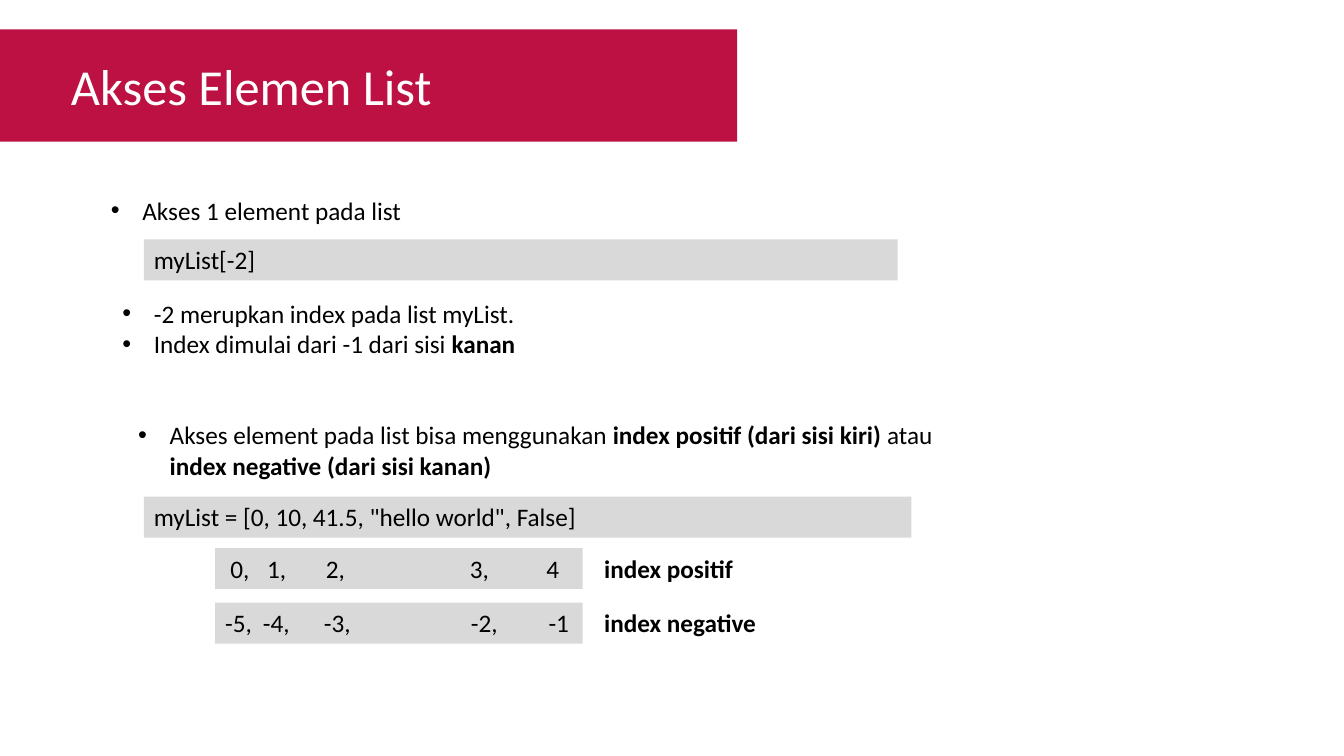
import dataclasses

import lxml.etree
import pptx
import pptx.dml.color
import pptx.enum.shapes
import pptx.enum.text
import pptx.oxml.ns
import pptx.util

EMU_PER_PX = 9525


@dataclasses.dataclass(frozen=True)
class Theme:
    font: str = "Calibri"
    banner: str = "BC1142"
    code: str = "D9D9D9"
    title_text: str = "FFFFFF"
    text: str = "000000"
    title_size: int = 36
    text_size: int = 18
    bullet_indent: int = 30


def px(value):
    return pptx.util.Emu(value * EMU_PER_PX)


def add_property(paragraph, tag, **attributes):
    """Append an element to the paragraph properties."""
    properties = paragraph._p.get_or_add_pPr()
    return lxml.etree.SubElement(properties, pptx.oxml.ns.qn(tag), attributes)


class SlideBuilder:
    def __init__(self, slide, theme):
        self.slide = slide
        self.theme = theme

    def place(self, shape, left, top, width, height):
        shape.left, shape.top = px(left), px(top)
        shape.width, shape.height = px(width), px(height)

    def prepare(self, frame, anchor=pptx.enum.text.MSO_ANCHOR.TOP, wrap=True):
        frame.auto_size = pptx.enum.text.MSO_AUTO_SIZE.NONE
        frame.word_wrap = wrap
        frame.vertical_anchor = anchor

    def format(self, paragraph, size=None, color=None, bold=False):
        paragraph.alignment = pptx.enum.text.PP_ALIGN.LEFT
        paragraph.space_before = pptx.util.Pt(0)
        for run in paragraph.runs:
            run.font.name = self.theme.font
            run.font.size = pptx.util.Pt(size or self.theme.text_size)
            run.font.bold = bold
            run.font.color.rgb = pptx.dml.color.RGBColor.from_string(color or self.theme.text)

    def rectangle(self, box, color):
        shape = self.slide.shapes.add_shape(
            pptx.enum.shapes.MSO_SHAPE.RECTANGLE, *map(px, box))
        shape.shadow.inherit = False
        shape.fill.solid()
        shape.fill.fore_color.rgb = pptx.dml.color.RGBColor.from_string(color)
        shape.line.fill.background()
        return shape

    def banner(self, box):
        """Draw the coloured band behind everything else."""
        band = self.rectangle(box, self.theme.banner)
        self.slide.shapes._spTree.insert(2, band._element)

    def title(self, box, text):
        heading = self.slide.shapes.title
        self.place(heading, *box)
        self.prepare(heading.text_frame, wrap=False)
        heading.text_frame.text = text
        self.format(heading.text_frame.paragraphs[0],
                    self.theme.title_size, self.theme.title_text)

    def bullets(self, idx, box, items):
        """Fill a body placeholder; text between ** marks is bold."""
        body = self.slide.placeholders[idx]
        self.place(body, *box)
        self.prepare(body.text_frame)
        indent = px(self.theme.bullet_indent)
        for number, item in enumerate(items):
            frame = body.text_frame
            paragraph = frame.add_paragraph() if number else frame.paragraphs[0]
            pieces = item.split("**")
            for piece in filter(None, pieces):
                paragraph.add_run().text = piece
            self.format(paragraph)
            for run in paragraph.runs:
                run.font.bold = run.text in pieces[1::2]
            properties = paragraph._p.get_or_add_pPr()
            properties.set("marL", str(indent))
            properties.set("indent", str(-indent))
            add_property(paragraph, "a:buFont", typeface="Arial")
            add_property(paragraph, "a:buChar", char="•")

    def code(self, box, text, stops=()):
        block = self.rectangle(box, self.theme.code)
        self.prepare(block.text_frame)
        block.text_frame.text = text
        paragraph = block.text_frame.paragraphs[0]
        self.format(paragraph)
        if stops:
            tabs = add_property(paragraph, "a:tabLst")
            for stop in stops:
                lxml.etree.SubElement(tabs, pptx.oxml.ns.qn("a:tab"),
                                      pos=str(px(stop)), algn="l")

    def label(self, box, text):
        caption = self.slide.shapes.add_textbox(*map(px, box))
        self.prepare(caption.text_frame, wrap=False)
        caption.text_frame.text = text
        self.format(caption.text_frame.paragraphs[0], bold=True)

    def remove_empty_placeholders(self):
        for placeholder in list(self.slide.placeholders):
            if not placeholder.text_frame.text:
                placeholder._element.getparent().remove(placeholder._element)


def main():
    deck = pptx.Presentation()
    deck.slide_width, deck.slide_height = px(1280), px(720)
    comparison_layout = deck.slide_layouts[4]
    builder = SlideBuilder(deck.slides.add_slide(comparison_layout), Theme())

    # Heading
    builder.banner((0, 28, 702, 107))
    builder.title((58, 48, 363, 68), "Akses Elemen List")

    # Access to one element
    builder.bullets(1, (96, 181, 1036, 39), ["Akses 1 element pada list"])
    builder.code((137, 228, 718, 39), "myList[-2]")
    builder.bullets(2, (107, 279, 1036, 68), [
        "-2 merupkan index pada list myList.",
        "Index dimulai dari -1 dari sisi **kanan**",
    ])

    # Positive and negative indexes
    builder.bullets(3, (122, 395, 810, 68), [
        "Akses element pada list bisa menggunakan **index positif (dari sisi kiri)**"
        " atau **index negative (dari sisi kanan)**",
    ])
    builder.code((137, 473, 731, 39), 'myList = [0, 10, 41.5, "hello world", False]')
    index_rows = [
        ("\t0,\t1,\t2,\t3,\t4", (5, 40, 96, 233, 306), "index positif", 147),
        ("-5,\t-4,\t-3,\t-2,\t-1", (36, 94, 234, 308), "index negative", 163),
    ]
    for row, (indexes, stops, name, name_width) in enumerate(index_rows):
        top = 522 + 52 * row
        builder.code((205, top, 350, 39), indexes, stops)
        builder.label((566, top, name_width, 39), name)

    builder.remove_empty_placeholders()
    deck.save("out.pptx")


if __name__ == "__main__":
    main()
